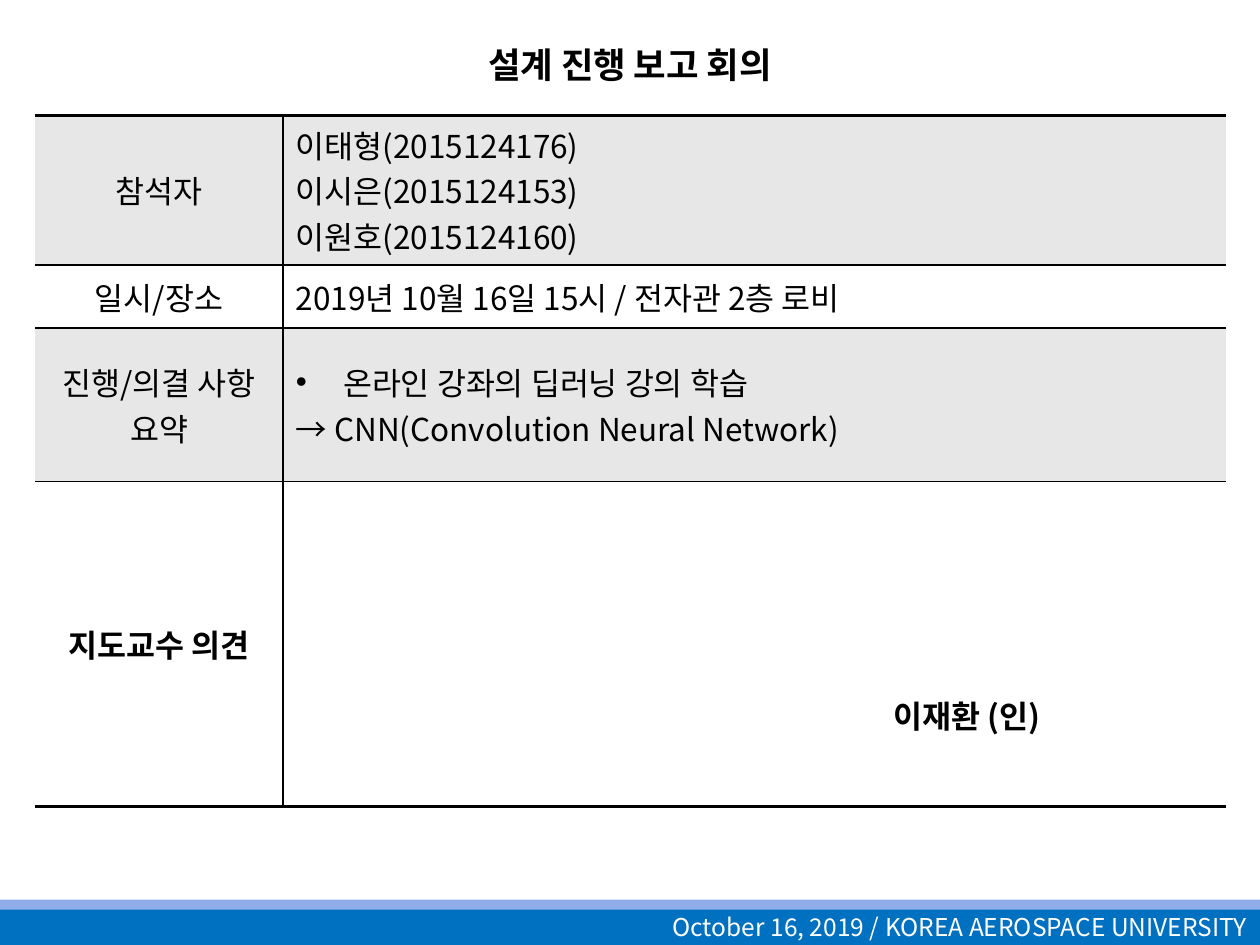
from dataclasses import dataclass

from pptx import Presentation
from pptx.dml.color import RGBColor
from pptx.enum.shapes import MSO_SHAPE
from pptx.enum.text import MSO_ANCHOR, MSO_AUTO_SIZE, PP_ALIGN
from pptx.oxml.ns import qn
from pptx.util import Pt
from lxml import etree

RECT = MSO_SHAPE.RECTANGLE
MIDDLE = MSO_ANCHOR.MIDDLE
NO_FIT = MSO_AUTO_SIZE.NONE
LEFT, CENTER, RIGHT = PP_ALIGN.LEFT, PP_ALIGN.CENTER, PP_ALIGN.RIGHT
TITLE_ONLY = 5


@dataclass(frozen=True)
class Theme:
    """Colours, font and type sizes of the slide."""
    font: str = "Noto Sans CJK KR"
    ink: str = "000000"
    white: str = "FFFFFF"
    band: str = "E7E7E7"
    footer: str = "0070C0"
    strip: str = "8FADE9"
    title_size: float = 25.2
    body_size: float = 18
    footer_size: float = 14


THEME = Theme()
COLUMNS = (141.8, 538.6)
ROWS = (
    ("참석자", ["이태형(2015124176)", "이시은(2015124153)", "이원호(2015124160)"], 62.6),
    ("일시/장소", ["2019년 10월 16일 15시 / 전자관 2층 로비"], 36),
    ("진행/의결 사항 요약", ["온라인 강좌의 딥러닝 강의 학습", "→ CNN(Convolution Neural Network)"], 87.8),
    ("지도교수 의견", ["이재환 (인)"], 185.8),
)
SUMMARY_ROW = 2
OPINION_ROW = len(ROWS) - 1


def write(p, text, size=THEME.body_size, color=THEME.ink, bold=False, align=LEFT, small_caps=False):
    """Add one formatted run to a paragraph."""
    p.alignment = align
    r = p.add_run()
    r.text = text
    font = r.font
    font.size, font.bold, font.name = Pt(size), bold, THEME.font
    font.color.rgb = RGBColor.from_string(color)
    rPr = r._r.get_or_add_rPr()
    etree.SubElement(rPr, qn("a:ea"), typeface=THEME.font)
    if small_caps:
        rPr.set("cap", "small")


def set_bullet(p, indent=27):
    """Give a paragraph a hanging bullet."""
    pPr = p._p.get_or_add_pPr()
    pPr.set("marL", str(Pt(indent)))
    pPr.set("indent", str(-Pt(indent)))
    etree.SubElement(pPr, qn("a:buFont"), typeface="Arial")
    etree.SubElement(pPr, qn("a:buChar"), char="•")


def set_borders(cell, **widths):
    """Draw the cell's sides in points, hiding those of zero width."""
    tcPr = cell._tc.get_or_add_tcPr()
    for side in "LRTB":
        width = widths[side]
        ln = etree.SubElement(tcPr, qn(f"a:ln{side}"), w=str(Pt(width)))
        if width:
            fill = etree.SubElement(ln, qn("a:solidFill"))
            etree.SubElement(fill, qn("a:srgbClr"), val=THEME.ink)
        else:
            etree.SubElement(ln, qn("a:noFill"))


def add_bar(s, top, height, color):
    """Add a full-width bar and return it."""
    sp = s.shapes.add_shape(RECT, 0, Pt(top), Pt(720), Pt(height))
    sp.shadow.inherit = False
    sp.fill.solid()
    sp.fill.fore_color.rgb = RGBColor.from_string(color)
    sp.line.fill.background()
    return sp


def add_footer(s):
    """Add the footer bar, its text and the light strip above it."""
    tf = add_bar(s, 519, 21, THEME.footer).text_frame
    tf.word_wrap, tf.vertical_anchor = True, MIDDLE
    write(tf.paragraphs[0], "October 16, 2019 / KOREA AEROSPACE UNIVERSITY",
          size=THEME.footer_size, color=THEME.white, align=RIGHT)
    add_bar(s, 514, 5.8, THEME.strip)


def add_title(s, text):
    """Place and fill the title placeholder."""
    sp = s.shapes.title
    sp.left, sp.top, sp.width, sp.height = Pt(54), Pt(15), Pt(612), Pt(40)
    tf = sp.text_frame
    tf.auto_size, tf.vertical_anchor = NO_FIT, MIDDLE
    write(tf.paragraphs[0], text, size=THEME.title_size, bold=True, align=CENTER, small_caps=True)


def fill_cell(cell, lines, row, col):
    """Write a cell's lines and set its borders and fill."""
    set_borders(cell, L=col, R=1 - col, T=1 if row else 2, B=2 if row == OPINION_ROW else 1)
    cell.fill.solid()
    cell.fill.fore_color.rgb = RGBColor.from_string(THEME.white if row % 2 else THEME.band)
    cell.vertical_anchor = MIDDLE
    tf = cell.text_frame
    for i, line in enumerate(lines):
        p = tf.add_paragraph() if i else tf.paragraphs[0]
        if (row, col, i) == (SUMMARY_ROW, 1, 0):
            set_bullet(p)
        write(p, line, bold=row == OPINION_ROW, align=LEFT if col else CENTER)


def add_minutes(s):
    """Add the table of meeting minutes."""
    frame = s.shapes.add_table(len(ROWS), len(COLUMNS), Pt(20), Pt(66),
                               Pt(sum(COLUMNS)), Pt(sum(row[2] for row in ROWS)))
    table = frame.table
    table.first_row = table.horz_banding = False
    for column, width in zip(table.columns, COLUMNS):
        column.width = Pt(width)
    for i, (label, lines, height) in enumerate(ROWS):
        table.rows[i].height = Pt(height)
        fill_cell(table.cell(i, 0), [label], i, 0)
        fill_cell(table.cell(i, 1), lines, i, 1)
    signature = table.cell(OPINION_ROW, 1)
    signature.margin_left, signature.margin_top = Pt(349), Pt(84)


def main():
    """Build the slide and save it."""
    prs = Presentation()
    prs.slide_width, prs.slide_height = Pt(720), Pt(540)
    s = prs.slides.add_slide(prs.slide_layouts[TITLE_ONLY])
    add_footer(s)
    add_title(s, "설계 진행 보고 회의")
    add_minutes(s)
    prs.save("out.pptx")


if __name__ == "__main__":
    main()
